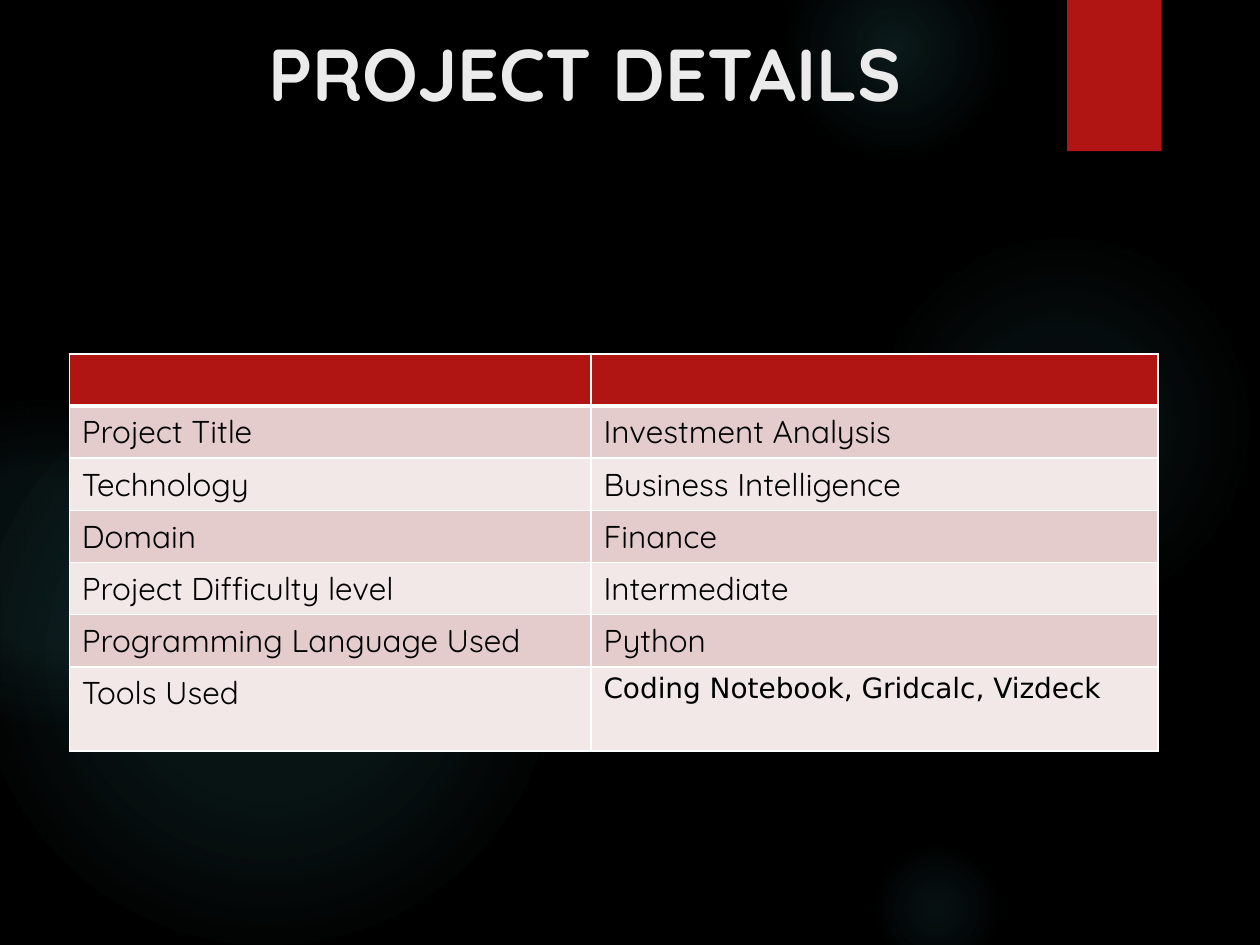
"""Build the project details slide: soft glows, a red tab, a title and a table."""
from lxml import etree
from pptx import Presentation
from pptx.dml.color import RGBColor
from pptx.enum.shapes import MSO_SHAPE
from pptx.enum.text import MSO_ANCHOR, MSO_AUTO_SIZE, PP_ALIGN
from pptx.oxml.ns import qn
from pptx.util import Inches, Pt

OVAL, RECTANGLE = MSO_SHAPE.OVAL, MSO_SHAPE.RECTANGLE
TOP, LEFT, NO_FIT = MSO_ANCHOR.TOP, PP_ALIGN.LEFT, MSO_AUTO_SIZE.NONE
BLACK = RGBColor(0x00, 0x00, 0x00)
WHITE = RGBColor(0xFF, 0xFF, 0xFF)
TITLE_GREY = RGBColor(0xEB, 0xEB, 0xEB)
RED = RGBColor(0xB0, 0x15, 0x13)
PINK = RGBColor(0xE4, 0xCC, 0xCC)
PALE_PINK = RGBColor(0xF2, 0xE8, 0xE7)
TEAL = RGBColor(0x50, 0xB9, 0xC1)

GLOWS = [
    (68.9, 18.3, 30.8, [(0, 7), (36, 6), (69, 0)]),
    (62.2, -5, 17.5, [(0, 14), (36, 7), (73, 0)]),
    (68.9, 66.7, 10.8, [(0, 9), (36, 5), (66, 0)]),
    (-1.7, 29.2, 45.8, [(0, 11), (36, 10), (75, 0)]),
    (-9.2, 31.7, 25.8, [(0, 8), (36, 8), (72, 0)]),
]
DETAILS = [
    ("", ""),
    ("Project Title", "Investment Analysis"),
    ("Technology", "Business Intelligence"),
    ("Domain", "Finance"),
    ("Project Difficulty level", "Intermediate"),
    ("Programming Language Used", "Python"),
    ("Tools Used", "Coding Notebook, Gridcalc, Vizdeck"),
]
COLUMN_WIDTHS = [41.4, 45]
ROW_HEIGHTS = [4.13] * 6 + [6.7]

deck = Presentation()
deck.slide_width, deck.slide_height = Inches(10), Inches(7.5)
UNIT = deck.slide_width // 100


def grid(*counts):
    """Turn counts of hundredths of the slide width into lengths."""
    return [round(count * UNIT) for count in counts]


def add_solid(parent, color, alpha=100):
    """Add a colour with an opacity in percent to an XML parent."""
    node = etree.SubElement(parent, qn("a:srgbClr"), val=str(color))
    if alpha < 100:
        etree.SubElement(node, qn("a:alpha"), val=str(alpha * 1000))


page = deck.slides.add_slide(deck.slide_layouts[5])
page.background.fill.solid()
page.background.fill.fore_color.rgb = BLACK

for left, top, size, stops in GLOWS:
    glow = page.shapes.add_shape(OVAL, *grid(left, top, size, size))
    glow.shadow.inherit = False
    glow.line.fill.background()
    glow.fill.gradient()
    gradient = glow.element.spPr.find(qn("a:gradFill"))
    for child in list(gradient):
        gradient.remove(child)
    stop_list = etree.SubElement(gradient, qn("a:gsLst"))
    for position, alpha in stops:
        stop = etree.SubElement(stop_list, qn("a:gs"), pos=str(position * 1000))
        add_solid(stop, TEAL, alpha)
    circle = etree.SubElement(gradient, qn("a:path"), {"path": "circle"})
    etree.SubElement(circle, qn("a:fillToRect"), dict.fromkeys("ltrb", "50000"))

tab = page.shapes.add_shape(RECTANGLE, *grid(84.7, 0, 7.5, 12))
tab.shadow.inherit = False
tab.line.fill.background()
tab.fill.solid()
tab.fill.fore_color.rgb = RED

title = page.shapes.title
title.left, title.top, title.width, title.height = grid(20.3, 1.7, 74.7, 13.3)
frame = title.text_frame
frame.text = "PROJECT DETAILS"
for name, value in {"vertical_anchor": TOP, "auto_size": NO_FIT, "word_wrap": True}.items():
    setattr(frame, name, value)
para = frame.paragraphs[0]
para.alignment = LEFT
for name, value in {"name": "Quicksand", "size": Pt(42), "bold": True}.items():
    setattr(para.runs[0].font, name, value)
para.runs[0].font.color.rgb = TITLE_GREY
page.shapes.element.append(title.element)

area = grid(5.5, 28.1, sum(COLUMN_WIDTHS), sum(ROW_HEIGHTS))
table = page.shapes.add_table(len(DETAILS), len(COLUMN_WIDTHS), *area).table
for column, width in zip(table.columns, grid(*COLUMN_WIDTHS)):
    column.width = width
for row, height in zip(table.rows, grid(*ROW_HEIGHTS)):
    row.height = height

for row_index, texts in enumerate(DETAILS):
    fill_color = RED if row_index == 0 else (PALE_PINK, PINK)[row_index % 2]
    for column_index, text in enumerate(texts):
        cell = table.cell(row_index, column_index)
        properties = cell._tc.get_or_add_tcPr()
        for side in "LRTB":
            thick = (row_index, side) in [(0, "B"), (1, "T")]
            width = Pt(3 if thick else 1)
            border = etree.SubElement(properties, qn(f"a:ln{side}"), w=str(width))
            add_solid(etree.SubElement(border, qn("a:solidFill")), WHITE)
        cell.fill.solid()
        cell.fill.fore_color.rgb = fill_color
        if text:
            is_tools = (row_index, column_index) == (len(DETAILS) - 1, 1)
            span = cell.text_frame.paragraphs[0].add_run()
            span.text = text
            span.font.name = "DejaVu Sans" if is_tools else "Quicksand"
            span.font.size = Pt(16 if is_tools else 18)
            span.font.bold = False
            span.font.color.rgb = BLACK

deck.save("out.pptx")
